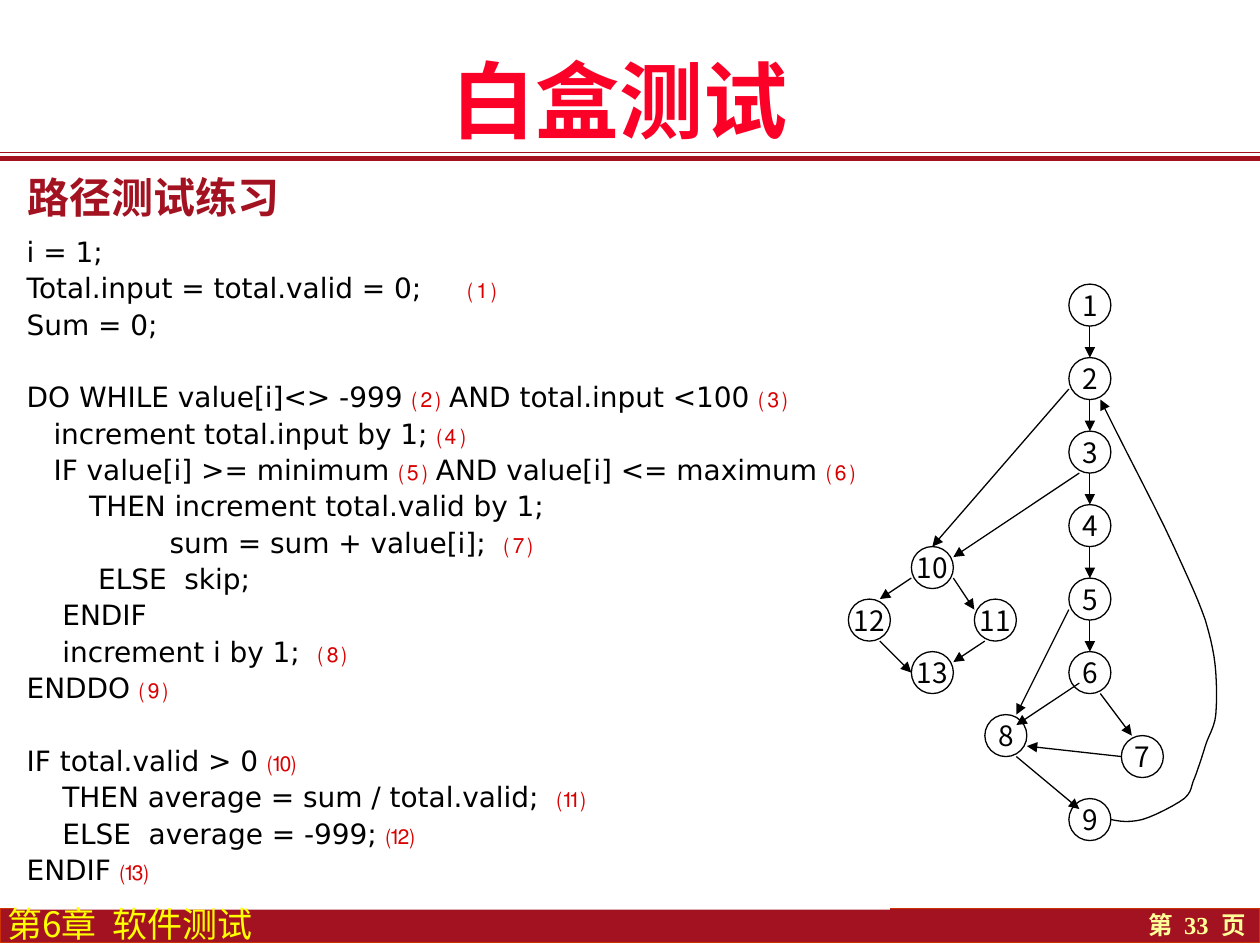
from lxml import etree
from pptx import Presentation
from pptx.dml.color import RGBColor
from pptx.enum.shapes import MSO_CONNECTOR, MSO_SHAPE
from pptx.enum.text import MSO_ANCHOR, PP_ALIGN
from pptx.oxml.ns import qn
from pptx.util import Cm, Pt

RECTANGLE, ELLIPSE = MSO_SHAPE.RECTANGLE, MSO_SHAPE.OVAL
STRAIGHT = MSO_CONNECTOR.STRAIGHT
LEFT, CENTER, RIGHT = PP_ALIGN.LEFT, PP_ALIGN.CENTER, PP_ALIGN.RIGHT
TOP, MIDDLE, BOTTOM = MSO_ANCHOR.TOP, MSO_ANCHOR.MIDDLE, MSO_ANCHOR.BOTTOM
CJK, LATIN = "Noto Sans CJK SC", "DejaVu Sans"
DARK_RED, MARKER_RED, BLACK, WHITE = "A31221", "D80000", "000000", "FFFFFF"


def add_text(paragraph, text, font=CJK, size=16, color=BLACK, bold=False, align=LEFT):
    paragraph.alignment = align
    run = paragraph.add_run()
    run.text = text
    run.font.name, run.font.size, run.font.bold = font, Pt(size), bold
    run.font.color.rgb = RGBColor.from_string(color)
    etree.SubElement(run.font._element, qn("a:ea"), typeface=CJK)


def style_line(item, color=BLACK, width=0.75, arrow=False):
    """Colour an outline or connector, optionally with an arrowhead, without shadow."""
    item.line.color.rgb = RGBColor.from_string(color)
    item.line.width = Pt(width)
    if arrow:
        etree.SubElement(item.line._get_or_add_ln(), qn("a:tailEnd"), type="triangle")
    if hasattr(item, "shadow"):
        item.shadow.inherit = False
    else:
        etree.SubElement(item._element.spPr, qn("a:effectLst"))


prs = Presentation()
prs.slide_width, prs.slide_height = Cm(25.4), Cm(19.05)
slide = prs.slides.add_slide(prs.slide_layouts[6])
shapes = slide.shapes

# Title rules and footer bar
for y, width in [(3.07, 0.75), (3.2, 3)]:
    rule = shapes.add_connector(STRAIGHT, Cm(0), Cm(y), Cm(25.4), Cm(y))
    style_line(rule, DARK_RED, width)
footer = shapes.add_shape(RECTANGLE, Cm(0), Cm(18.31), Cm(25.4), Cm(0.69))
footer.fill.solid()
footer.fill.fore_color.rgb = RGBColor.from_string(DARK_RED)
style_line(footer, "CC3300")

# Pseudocode: indent in characters, alternating statement and marker, gap above
code_lines = [
    (0, ["i = 1;"]),
    (0, ["Total.input = total.valid = 0;\t", "⑴"]),
    (0, ["Sum = 0;"]),
    (0, ["DO WHILE value[i]<> -999 ", "⑵", " AND total.input <100 ", "⑶"]),
    (3, ["increment total.input by 1; ", "⑷"]),
    (3, ["IF value[i] >= minimum ", "⑸", " AND value[i] <= maximum ", "⑹"]),
    (7, ["THEN increment total.valid by 1;"]),
    (16, ["sum = sum + value[i];  ", "⑺"]),
    (8, ["ELSE  skip;"]),
    (4, ["ENDIF"]),
    (4, ["increment i by 1;  ", "⑻"]),
    (0, ["ENDDO ", "⑼"]),
    (0, ["IF total.valid > 0 ", "⑽"]),
    (4, ["THEN average = sum / total.valid;  ", "⑾"]),
    (4, ["ELSE  average = -999; ", "⑿"]),
    (0, ["ENDIF ", "⒀"]),
]
BLOCK_STARTS = (3, 12)
code = shapes.add_textbox(Cm(0.29), Cm(4.6), Cm(17.65), Cm(13.74))
code.fill.solid()
code.fill.fore_color.rgb = RGBColor.from_string(WHITE)
code.text_frame.word_wrap = True
for index, (indent, parts) in enumerate(code_lines):
    paragraph = code.text_frame.paragraphs[0] if index == 0 else code.text_frame.add_paragraph()
    paragraph.space_before = Pt(22.4 if index in BLOCK_STARTS else 1.6)
    for position, part in enumerate(parts):
        add_text(paragraph, part, LATIN, color=MARKER_RED if position % 2 else BLACK)
    properties = paragraph._p.get_or_add_pPr()
    properties.set("marL", str(Cm(0.18 * indent)))
    properties.set("indent", "0")
    if "\t" in parts[0]:
        tabs = etree.SubElement(properties, qn("a:tabLst"))
        etree.SubElement(tabs, qn("a:tab"), pos=str(Cm(8.44)), algn="l")

# Flow graph on a grid of twelfths of an inch, measured from the centre of node 1
GRID = 2.54 / 12
ORIGIN_X, ORIGIN_Y = 21.97, 6.15
RADIUS, STEP = 2, 7
nodes = {number: (0, STEP * (number - 1)) for number in range(1, 7)}
nodes.update({8: (-8, 41), 7: (5, 43), 9: (0, 49),
              10: (-15, 25), 11: (-9, 30), 12: (-21, 30), 13: (-15, 35)})
for number, (x, y) in nodes.items():
    node = shapes.add_shape(ELLIPSE, Cm(ORIGIN_X + (x - RADIUS) * GRID),
                            Cm(ORIGIN_Y + (y - RADIUS) * GRID),
                            Cm(2 * RADIUS * GRID), Cm(2 * RADIUS * GRID))
    node.fill.solid()
    node.fill.fore_color.rgb = RGBColor.from_string(WHITE)
    style_line(node)
    node.text_frame.word_wrap = False
    node.text_frame.vertical_anchor = MIDDLE
    add_text(node.text_frame.paragraphs[0], str(number), align=CENTER)

edges = [(0, STEP * i + RADIUS, 0, STEP * (i + 1) - RADIUS) for i in range(5)]
edges += [
    (-2, 29, -7, 39), (-1, 36, -7, 40), (-7, 43, -1, 48), (1, 37, 4, 41),
    (3, 43, -6, 42), (-2, 8, -15, 23), (-1, 16, -13, 24), (-17, 26, -20, 28),
    (-13, 26, -11, 29), (-20, 32, -17, 35), (-10, 32, -13, 34),
]
for x1, y1, x2, y2 in edges:
    edge = shapes.add_connector(STRAIGHT, Cm(ORIGIN_X + x1 * GRID), Cm(ORIGIN_Y + y1 * GRID),
                                Cm(ORIGIN_X + x2 * GRID), Cm(ORIGIN_Y + y2 * GRID))
    style_line(edge, arrow=True)

# Loop back from node 9 to node 2: Bézier segments sampled as short lines
loop_start = (2, 49)
loop_segments = [
    ((2.9, 49.2), (3.8, 49.3), (5, 49)),
    ((6.1, 48.7), (8.2, 47.6), (9, 47)),
    ((9.8, 46.3), (9.6, 45.8), (10, 45)),
    ((10.3, 44.2), (10.7, 43), (11, 42)),
    ((11.3, 41), (11.9, 40.2), (12, 39)),
    ((12.1, 37.8), (12.1, 36.5), (12, 35)),
    ((11.9, 33.5), (11.6, 32), (11, 30)),
    ((10.3, 28), (9.6, 26.5), (8, 23)),
    ((6.4, 19.5), (3.6, 14.3), (1, 9)),
]
SAMPLES = 6
loop_points = [loop_start]
for bend_1, bend_2, end in loop_segments:
    start = loop_points[-1]
    for sample in range(1, SAMPLES + 1):
        t = sample / SAMPLES
        loop_points.append(tuple(
            (1 - t) ** 3 * a + 3 * (1 - t) ** 2 * t * b + 3 * (1 - t) * t ** 2 * c + t ** 3 * d
            for a, b, c, d in zip(start, bend_1, bend_2, end)))
loop_route = [(Cm(ORIGIN_X + x * GRID), Cm(ORIGIN_Y + y * GRID)) for x, y in loop_points]
builder = shapes.build_freeform(*loop_route[0])
builder.add_line_segments(loop_route[1:], close=False)
loop_back = builder.convert_to_shape()
loop_back.fill.background()
style_line(loop_back, arrow=True)

# Headings and footer texts: box, margins, anchor, space before, line spacing, format
captions = [
    ("第  33  页", (21.37, 18.21, 3.99, 0.84), (0.25, 0.13), TOP, 7, 1,
     dict(font="Times New Roman", size=14, color="FFFF99", bold=True, align=RIGHT)),
    ("第6章  软件测试", (0.15, 18.39, 5.77, 0.66), (0, 0), BOTTOM, 0, 0.85,
     dict(size=20, color="FFFF00")),
    ("路径测试练习", (0.3, 3.33, 7.87, 1.27), (0.25, 0.13), TOP, 0, 1,
     dict(font=LATIN, size=24, color=DARK_RED, bold=True)),
    ("白盒测试", (6.55, 0.84, 11.86, 2.29), (0.25, 0.13), TOP, 0, 1,
     dict(size=48, color="FC0128", bold=True, align=CENTER)),
]
for text, box, (side, edge_margin), anchor, before, spacing, text_format in captions:
    frame = shapes.add_textbox(*map(Cm, box)).text_frame
    frame.word_wrap = True
    frame.vertical_anchor = anchor
    frame.margin_left = frame.margin_right = Cm(side)
    frame.margin_top = frame.margin_bottom = Cm(edge_margin)
    caption = frame.paragraphs[0]
    caption.space_before, caption.line_spacing = Pt(before), spacing
    add_text(caption, text, **text_format)

prs.save("out.pptx")
